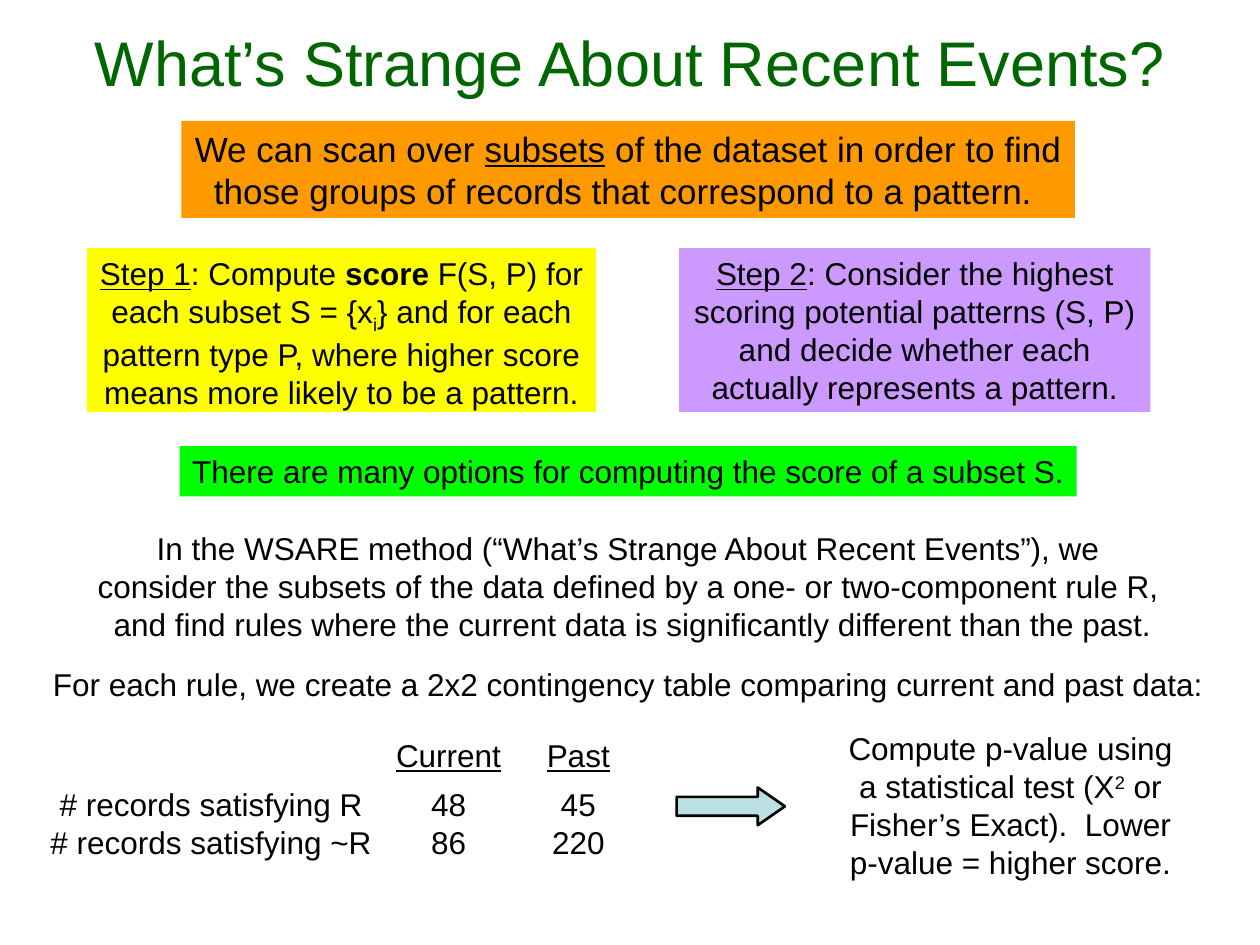
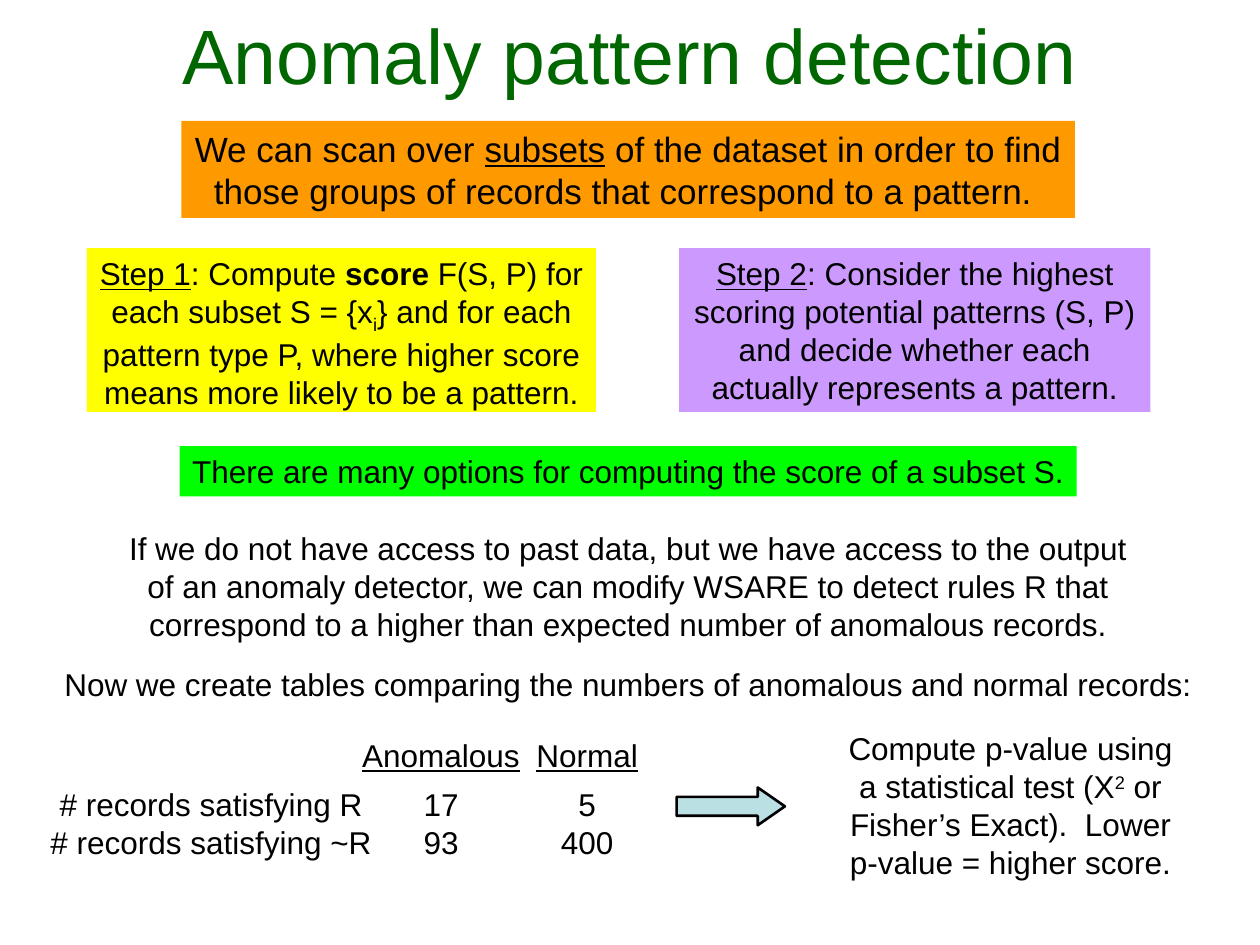
from dataclasses import dataclass
from typing import NamedTuple

from pptx import Presentation
from pptx.dml.color import RGBColor
from pptx.enum.shapes import MSO_SHAPE
from pptx.enum.text import MSO_ANCHOR, MSO_AUTO_SIZE, PP_ALIGN
from pptx.slide import Slide
from pptx.util import Inches, Pt

# Grid: 100 columns by 75 rows on a 10 x 7.5 inch slide
WIDE, HIGH = Inches(10), Inches(7.5)
COL, ROW = WIDE / 100, HIGH / 75
MID = 49.85  # shared centre line, in columns

FONT = "Arial"
BLACK = RGBColor(0x00, 0x00, 0x00)
GREEN = RGBColor(0x00, 0x66, 0x00)
ORANGE = RGBColor(0xFF, 0x99, 0x00)
YELLOW = RGBColor(0xFF, 0xFF, 0x00)
PURPLE = RGBColor(0xCC, 0x99, 0xFF)
LIME = RGBColor(0x00, 0xFF, 0x00)
TEAL = RGBColor(0xBB, 0xE0, 0xE3)


class Run(NamedTuple):
    text: str
    under: bool = False
    bold: bool = False
    base: int = 0  # thousandths of a percent


Lines = list[list[Run]]


@dataclass(frozen=True)
class Box:
    mid: float  # centre column
    top: float  # first row
    wide: float
    high: float
    lines: Lines
    size: int = 18
    fill: RGBColor | None = None
    wrap: bool = True
    ink: RGBColor = BLACK
    title: bool = False


class Count(NamedTuple):
    head: str
    mid: float
    wide: float
    span: float  # width of the figures
    vals: tuple[int, int]


class Page(NamedTuple):
    title: str
    size: int
    body: str
    width: float
    lead: str
    reach: float
    counts: tuple[Count, Count]


def plain(*texts: str) -> Lines:
    return [[Run(text)] for text in texts]


def place(mid: float, top: float, wide: float, high: float) -> tuple[int, ...]:
    """Turn a centred grid area into left, top, width and height."""
    return (round((mid - wide / 2) * COL), round(top * ROW),
            round(wide * COL), round(high * ROW))


def draw_box(slide: Slide, box: Box) -> None:
    area = place(box.mid, box.top, box.wide, box.high)
    if box.fill is None:
        shape = slide.shapes.add_textbox(*area)
    else:
        shape = slide.shapes.add_shape(MSO_SHAPE.RECTANGLE, *area)
        shape.shadow.inherit = False
        shape.fill.solid()
        shape.fill.fore_color.rgb = box.fill
        shape.line.fill.background()
    frame = shape.text_frame
    frame.word_wrap = box.wrap
    frame.vertical_anchor = MSO_ANCHOR.BOTTOM if box.title else MSO_ANCHOR.TOP
    frame.auto_size = (MSO_AUTO_SIZE.NONE if box.title
                       else MSO_AUTO_SIZE.SHAPE_TO_FIT_TEXT)
    for i, line in enumerate(box.lines):
        para = frame.add_paragraph() if i else frame.paragraphs[0]
        para.alignment = PP_ALIGN.CENTER
        para.font.name = FONT
        para.font.size = Pt(box.size)
        para.font.color.rgb = box.ink
        for part in line:
            run = para.add_run()
            run.text = part.text
            if part.under:
                run.font.underline = True
            if part.bold:
                run.font.bold = True
            if part.base:
                run._r.get_or_add_rPr().set("baseline", str(part.base))


def draw_arrow(slide: Slide) -> None:
    arrow = slide.shapes.add_shape(MSO_SHAPE.RIGHT_ARROW,
                                   *place(58, 62.5, 8.6, 3))
    arrow.adjustments[0] = 0.5
    arrow.adjustments[1] = 0.72
    arrow.shadow.inherit = False
    arrow.fill.solid()
    arrow.fill.fore_color.rgb = TEAL
    arrow.line.color.rgb = BLACK
    arrow.line.width = Pt(1.5)


# Boxes that both slides share
SCAN = Box(MID, 9.6, 70.9, 7.7, [[
    Run("We can scan over "), Run("subsets", under=True),
    Run(" of the dataset in order to find those groups of records "
        "that correspond to a pattern. ")]], size=20, fill=ORANGE)
SCORE = Box(27.1, 19.7, 40.4, 13, [[
    Run("Step 1", under=True), Run(": Compute "), Run("score", bold=True),
    Run(" F(S, P) for each subset S = {x"), Run("i", base=-25000),
    Run("} and for each pattern type P, where higher score means "
        "more likely to be a pattern.")]], fill=YELLOW)
DECIDE = Box(72.6, 19.7, 37.4, 13, [[
    Run("Step 2", under=True),
    Run(": Consider the highest scoring potential patterns (S, P) and "
        "decide whether each actually represents a pattern.")]], fill=PURPLE)
MANY = Box(MID, 35.4, 71.2, 4, plain(
    "There are many options for computing the score of a subset S."),
    fill=LIME, wrap=False)
NAMES = Box(16.75, 61.8, 27.5, 7, plain(
    "# records satisfying R", "# records satisfying ~R"), wrap=False)
TEST = Box(80.2, 57.4, 29.6, 13, [[
    Run("Compute p-value using a statistical test (Χ"),
    Run("2", base=30000),
    Run(" or Fisher’s Exact).  Lower p-value = higher score.")]])
SHARED = (SCAN, SCORE, DECIDE, MANY, NAMES, TEST)

PAGES = (
    Page("What’s Strange About Recent Events?", 36,
         "In the WSARE method (“What’s Strange About Recent Events”), we "
         "consider the subsets of the data defined by a one- or "
         "two-component rule R,  and find rules where the current data is "
         "significantly different than the past.", 86.5,
         "For each rule, we create a 2x2 contingency table comparing "
         "current and past data:", 94.6,
         (Count("Current", 35.6, 11, 5.2, (48, 86)),
          Count("Past", 45.9, 7.6, 6.6, (45, 220)))),
    Page("Anomaly pattern detection", 44,
         "If we do not have access to past data, but we have access to the "
         "output of an anomaly detector, we can modify WSARE to detect "
         "rules R that correspond to a higher than expected number of "
         "anomalous records.", 83.3,
         "Now we create tables comparing the numbers of anomalous and "
         "normal records:", 92,
         (Count("Anomalous", 35, 15, 5.2, (17, 93)),
          Count("Normal", 46.6, 10.6, 6.6, (5, 400)))),
)


def draw_page(slide: Slide, page: Page) -> None:
    # Title and shared boxes
    draw_box(slide, Box(50, 0.8, 90, 7.6, plain(page.title), page.size,
                        ink=GREEN, title=True))
    for box in SHARED:
        draw_box(slide, box)
    # Explanation of this slide's method
    draw_box(slide, Box(MID, 41.5, page.width, 10, plain(page.body)))
    draw_box(slide, Box(MID, 52.3, page.reach, 4, plain(page.lead),
                        wrap=False))
    # Counts under their headings
    for count in page.counts:
        draw_box(slide, Box(count.mid, 57.9, count.wide, 4,
                            [[Run(count.head, under=True)]], wrap=False))
        draw_box(slide, Box(count.mid, 61.8, count.span, 7,
                            plain(*map(str, count.vals)), wrap=False))
    draw_arrow(slide)


def main() -> None:
    deck = Presentation()
    deck.slide_width, deck.slide_height = WIDE, HIGH
    blank = deck.slide_layouts[6]
    for page in PAGES:
        draw_page(deck.slides.add_slide(blank), page)
    deck.save("out.pptx")


if __name__ == "__main__":
    main()
